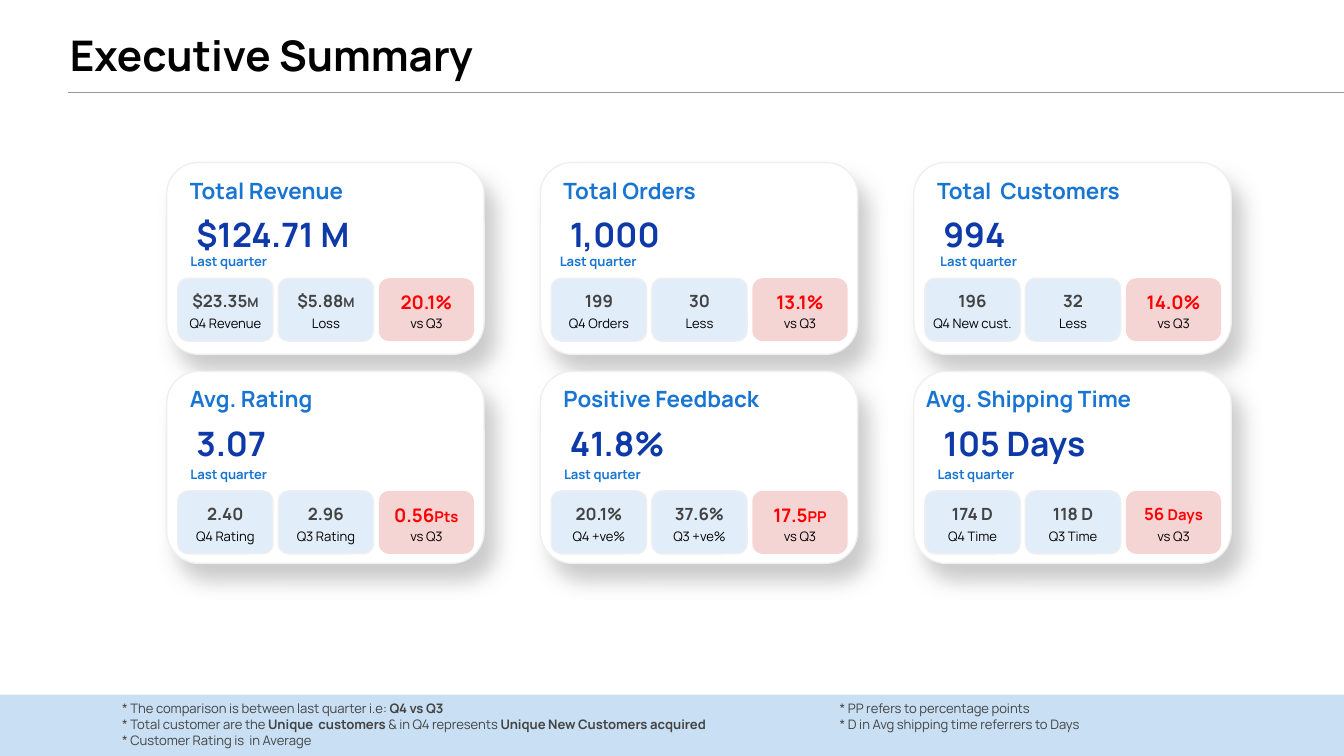
from dataclasses import dataclass

from lxml import etree
from pptx import Presentation
from pptx.dml.color import RGBColor
from pptx.enum.shapes import MSO_CONNECTOR as Connector, MSO_SHAPE as Shape
from pptx.enum.text import MSO_ANCHOR as Anchor, MSO_AUTO_SIZE as AutoSize, PP_ALIGN as Align
from pptx.oxml import parse_xml
from pptx.oxml.ns import nsdecls, qn
from pptx.util import Cm, Pt

FONT = "Manrope"
BLUE, NAVY, GRAY, RED, BLACK = "1975D2", "0E39A9", "434343", "FF0000", "000000"
PINK, WHITE, EDGE, RULE = "F4CCCC", "FFFFFF", "EFEFEF", "999999"

# Grid, in centimetres
SLIDE_WIDTH, SLIDE_HEIGHT = 25.4, 14.29
CARD_LEFT, CARD_TOP, CARD_WIDTH, CARD_HEIGHT = 3.15, 3.07, 6, 3.63
COLUMN_STEP, ROW_STEP = 7.06, 3.95
TILE_WIDTH, TILE_HEIGHT, TILE_STEP = 1.8, 1.19, 1.9
LOWER_ROW_SHIFT = 0.07  # captions and tiles sit a little lower in row two


@dataclass
class Card:
    heading: str
    value: str
    tiles: list  # (value runs as (text, size), label)
    heading_left: float = 0.26
    caption_left: float = 0.2


CARDS = [
    Card("Total Revenue", "$124.71 M", [
        ([("$23.35", 9), ("M", 7)], "Q4 Revenue"),
        ([("$5.88", 9), ("M", 7)], "Loss"),
        ([("20.1%", 10)], "vs Q3")]),
    Card("Total Orders", "1,000", [
        ([("199", 9)], "Q4 Orders"),
        ([("30", 9)], "Less"),
        ([("13.1%", 10)], "vs Q3")], caption_left=0.12),
    Card("Total  Customers", "994", [
        ([("196", 9)], "Q4 New cust."),
        ([("32", 9)], "Less"),
        ([("14.0%", 10)], "vs Q3")], caption_left=0.25),
    Card("Avg. Rating", "3.07", [
        ([("2.40", 9)], "Q4 Rating"),
        ([("2.96", 9)], "Q3 Rating"),
        ([("0.56", 10), ("Pts", 8)], "vs Q3")]),
    Card("Positive Feedback", "41.8%", [
        ([("20.1%", 9)], "Q4 +ve%"),
        ([("37.6%", 9)], "Q3 +ve%"),
        ([("17.5", 10), ("PP", 8)], "vs Q3")]),
    Card("Avg. Shipping Time", "105 Days", [
        ([("174 D", 9)], "Q4 Time"),
        ([("118 D", 9)], "Q3 Time"),
        ([("56 ", 9), ("Days", 8)], "vs Q3")], heading_left=0.05),
]

# Footnotes: paragraphs of (text, bold) runs
LEFT_NOTES = [
    [("* The comparison is between last quarter i.e: ", False), ("Q4 vs Q3", True)],
    [("* Total customer are the ", False), ("Unique  customers ", True),
     ("& in Q4 represents", False), (" Unique New Customers acquired", True)],
    [("* Customer Rating is  in Average", False)],
]
RIGHT_NOTES = [
    [("* PP refers to percentage points", False)],
    [("* D in Avg shipping time referrers to Days", False)],
]


def color(value):
    return RGBColor.from_string(value)


def set_frame(frame, inset, anchor=Anchor.TOP, auto_size=AutoSize.NONE):
    margin = Cm(inset)
    settings = dict(word_wrap=True, auto_size=auto_size, vertical_anchor=anchor,
                    margin_left=margin, margin_right=margin,
                    margin_top=margin, margin_bottom=margin)
    for name, value in settings.items():
        setattr(frame, name, value)


def write(frame, paragraphs, align=Align.LEFT):
    """Fill a frame from paragraphs of (text, size, colour, bold) runs."""
    for index, runs in enumerate(paragraphs):
        paragraph = frame.add_paragraph() if index else frame.paragraphs[0]
        paragraph.alignment = align
        for text, size, ink, bold in runs:
            run = paragraph.add_run()
            run.text = text
            for name, value in dict(name=FONT, size=Pt(size), bold=bold).items():
                setattr(run.font, name, value)
            run.font.color.rgb = color(ink)


def add_text(slide, box, paragraphs, inset=0.25, anchor=Anchor.TOP, align=Align.LEFT,
             auto_size=AutoSize.SHAPE_TO_FIT_TEXT):
    shape = slide.shapes.add_textbox(*map(Cm, box))
    set_frame(shape.text_frame, inset, anchor, auto_size)
    write(shape.text_frame, paragraphs, align)


def add_box(slide, kind, box, fill, opacity=100, line=None):
    shape = slide.shapes.add_shape(kind, *map(Cm, box))
    shape.shadow.inherit = False
    shape.fill.solid()
    shape.fill.fore_color.rgb = color(fill)
    if opacity < 100:
        ink = shape.fill._xPr.find(qn("a:solidFill"))[0]
        etree.SubElement(ink, qn("a:alpha")).set("val", str(opacity * 1000))
    if line:
        shape.line.color.rgb = color(line)
        shape.line.width = Pt(0.75)
    else:
        shape.line.fill.background()
    return shape


def add_soft_shadow(shape):
    effects = shape._element.spPr.find(qn("a:effectLst"))
    effects.append(parse_xml(
        f'<a:outerShdw {nsdecls("a")} blurRad="{Pt(11.2)}" dist="{Pt(10.5)}" '
        f'dir="{57 * 60000}" algn="bl" rotWithShape="0"><a:srgbClr val="{RULE}">'
        '<a:alpha val="51000"/></a:srgbClr></a:outerShdw>'))


def add_tile(slide, left, top, runs, label, is_change):
    fill, opacity, line, ink = (PINK, 84, None, RED) if is_change else (BLUE, 13, EDGE, GRAY)
    tile = add_box(slide, Shape.ROUNDED_RECTANGLE, (left, top, TILE_WIDTH, TILE_HEIGHT),
                   fill, opacity, line)
    set_frame(tile.text_frame, 0.18)
    write(tile.text_frame, [[(text, size, ink, True) for text, size in runs]], Align.CENTER)
    # Long labels get a wider box, centred on the tile
    width = 2.13 if len(label) > 9 else TILE_WIDTH
    add_text(slide, (left + (TILE_WIDTH - width) / 2, top + 0.43, width, 0.86),
             [[(label, 7, BLACK, False)]], anchor=Anchor.MIDDLE, align=Align.CENTER,
             auto_size=AutoSize.NONE)


def add_card(slide, card, column, row):
    left, top = CARD_LEFT + column * COLUMN_STEP, CARD_TOP + row * ROW_STEP
    panel = add_box(slide, Shape.ROUNDED_RECTANGLE, (left, top, CARD_WIDTH, CARD_HEIGHT),
                    WHITE, line=EDGE)
    add_soft_shadow(panel)
    add_text(slide, (left + card.heading_left, top + 0.09, 4.5, 0.89),
             [[(card.heading, 12, BLUE, True)]], inset=0.18)
    add_text(slide, (left + 0.38, top + 0.79, 3.5, 1.14),
             [[(card.value, 18, NAVY, True)]], inset=0.18)
    lower = top + row * LOWER_ROW_SHIFT
    add_text(slide, (left + card.caption_left, lower + 1.57, 3, 0.81),
             [[("Last quarter", 7, BLUE, True)]])
    for index, (runs, label) in enumerate(card.tiles):
        add_tile(slide, left + 0.21 + index * TILE_STEP, lower + 2.19, runs, label, index == 2)


def add_title(slide):
    title = slide.shapes.title
    box = dict(left=0.99, top=0.23, width=9.96, height=1.9)
    for name, value in box.items():
        setattr(title, name, Cm(value))
    set_frame(title.text_frame, 0.33)
    write(title.text_frame, [[("Executive Summary", 22.6, BLACK, True)]])
    rule = slide.shapes.add_connector(Connector.STRAIGHT, Cm(1.29), Cm(1.75),
                                      Cm(SLIDE_WIDTH), Cm(1.75))
    rule.line.color.rgb = color(RULE)
    rule.line.width = Pt(0.75)
    etree.SubElement(rule._element.spPr, qn("a:effectLst"))


def add_footer(slide):
    top = 13.13
    add_box(slide, Shape.RECTANGLE, (0, top, SLIDE_WIDTH, SLIDE_HEIGHT - top), BLUE, 23)
    for left, height, notes in ((2.06, 1.7, LEFT_NOTES), (15.62, 1.12, RIGHT_NOTES)):
        add_text(slide, (left, 13, 12.67, height),
                 [[(text, 7, GRAY, bold) for text, bold in runs] for runs in notes])


def main():
    presentation = Presentation()
    presentation.slide_width, presentation.slide_height = Cm(SLIDE_WIDTH), Cm(SLIDE_HEIGHT)
    slide = presentation.slides.add_slide(presentation.slide_layouts[5])
    add_title(slide)
    for index, card in enumerate(CARDS):
        row, column = divmod(index, 3)
        add_card(slide, card, column, row)
    add_footer(slide)
    presentation.save("out.pptx")


if __name__ == "__main__":
    main()
